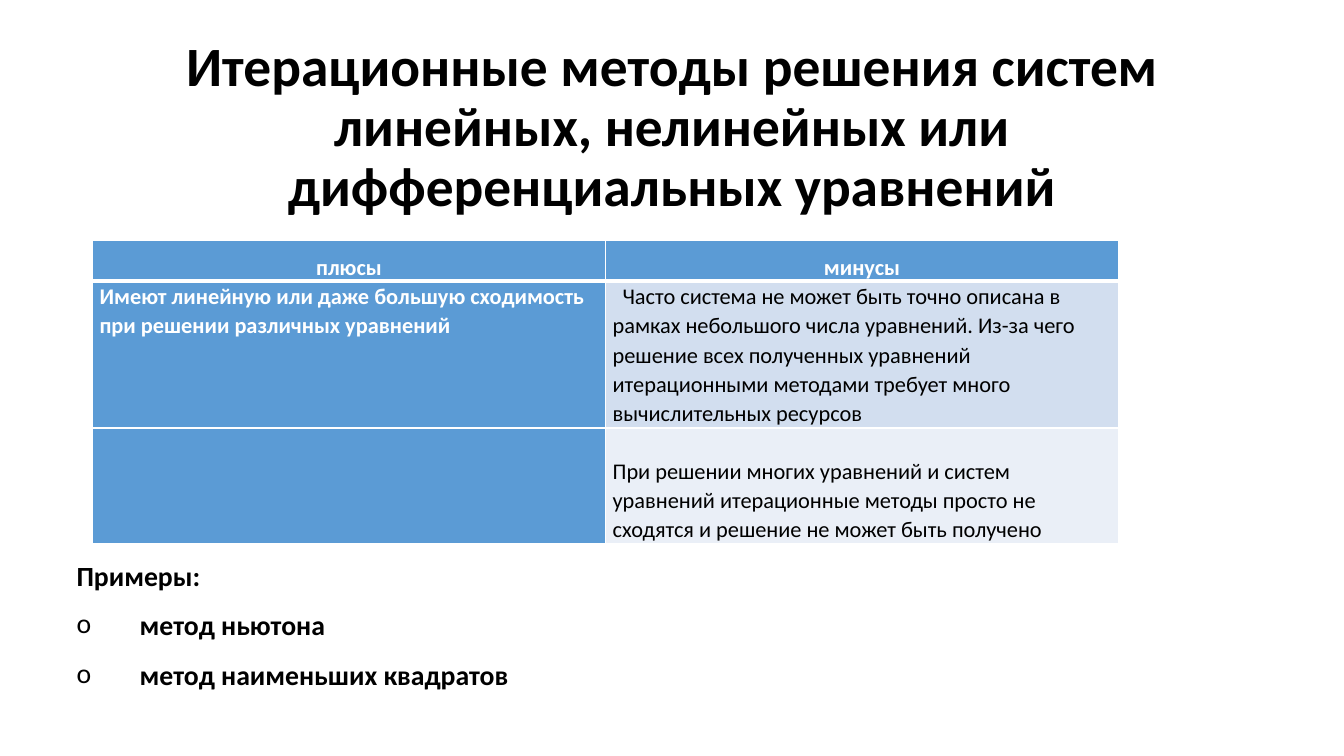
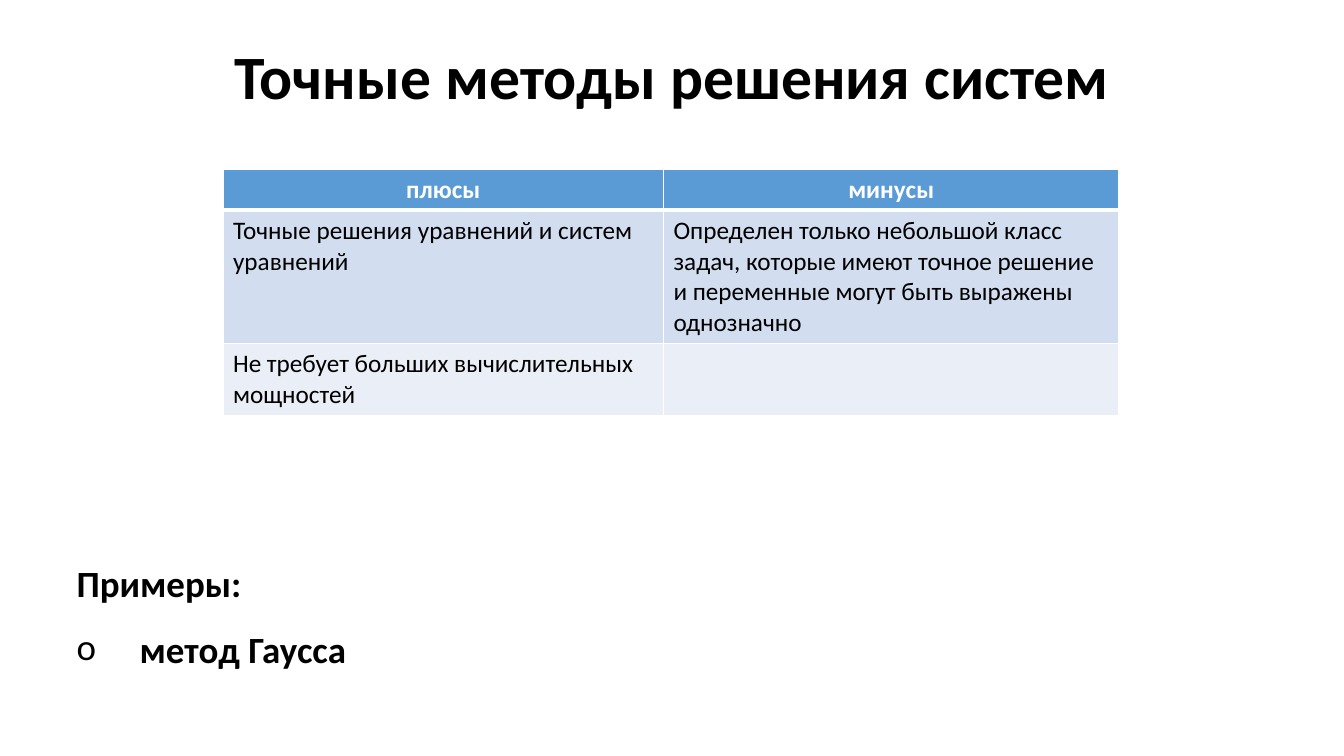
from lxml import etree
from pptx import Presentation
from pptx.dml.color import RGBColor
from pptx.enum.text import MSO_ANCHOR, MSO_AUTO_SIZE, PP_ALIGN
from pptx.oxml.ns import qn
from pptx.util import Cm, Pt

CENTER, LEFT = PP_ALIGN.CENTER, PP_ALIGN.LEFT
TOP, MIDDLE, BOTTOM = MSO_ANCHOR.TOP, MSO_ANCHOR.MIDDLE, MSO_ANCHOR.BOTTOM
NO_AUTOFIT = MSO_AUTO_SIZE.NONE

BLACK = RGBColor(0x00, 0x00, 0x00)
WHITE = RGBColor(0xFF, 0xFF, 0xFF)
BLUE = RGBColor(0x5B, 0x9B, 0xD5)
BANDS = (RGBColor(0xD2, 0xDE, 0xEF), RGBColor(0xEA, 0xEF, 0xF7))

FONT = "Calibri"
TITLE_ONLY = 5
HEADERS = ("плюсы", "минусы")
INSET = Cm(0.13)
BULLET_INDENT = Cm(1.59)


def format_paragraph(paragraph, size, color=BLACK, bold=False, align=LEFT, spacing=1.0):
    paragraph.alignment = align
    paragraph.line_spacing = spacing
    font = paragraph.font
    font.name = FONT
    font.size = Pt(size)
    font.bold = bold
    font.color.rgb = color


def add_title(slide, text, size, height):
    title = slide.shapes.title
    title.left, title.top, title.width, title.height = Cm(2.33), Cm(1.01), Cm(29.21), Cm(height)
    frame = title.text_frame
    frame.text = text
    frame.word_wrap = True
    frame.auto_size = NO_AUTOFIT
    frame.vertical_anchor = MIDDLE
    frame.margin_bottom = INSET + Pt(size * 1.1)
    format_paragraph(frame.paragraphs[0], size, bold=True, align=CENTER, spacing=0.9)


def set_borders(cell, top_width, bottom_width):
    properties = cell._tc.get_or_add_tcPr()
    widths = {"a:lnL": 1, "a:lnR": 1, "a:lnT": top_width, "a:lnB": bottom_width}
    for position, (tag, width) in enumerate(widths.items()):
        line = etree.Element(qn(tag), w=str(Pt(width)))
        fill = etree.SubElement(line, qn("a:solidFill"))
        etree.SubElement(fill, qn("a:srgbClr"), val=str(WHITE))
        properties.insert(position, line)


def add_comparison(slide, left, top, columns, rows, content, size,
                   header_spacing=1.0, body_spacing=1.0, blue_first_column=False):
    shape = slide.shapes.add_table(len(rows), len(columns), Cm(left), Cm(top),
                                   Cm(sum(columns)), Cm(sum(rows)))
    table = shape.table
    table.first_col = blue_first_column
    for column, width in zip(table.columns, columns):
        column.width = Cm(width)
    for row, height in zip(table.rows, rows):
        row.height = Cm(height)
    for row_index, texts in enumerate((HEADERS, *content)):
        is_header = row_index == 0
        for column_index, text in enumerate(texts):
            cell = table.cell(row_index, column_index)
            is_blue = is_header or (blue_first_column and column_index == 0)
            cell.text = text
            cell.fill.solid()
            cell.fill.fore_color.rgb = BLUE if is_blue else BANDS[(row_index - 1) % 2]
            format_paragraph(cell.text_frame.paragraphs[0], size,
                             color=WHITE if is_blue else BLACK, bold=is_blue,
                             align=CENTER if is_header else LEFT,
                             spacing=header_spacing if is_header else body_spacing)
            set_borders(cell, 3 if row_index == 1 else 1, 3 if is_header else 1)
    return table


def tighten_cells(table):
    for cell in table.iter_cells():
        cell.margin_left = cell.margin_right = Cm(0.18)
        cell.margin_top = cell.margin_bottom = 0
        cell.vertical_anchor = TOP


def add_bullet(paragraph):
    properties = paragraph._p.get_or_add_pPr()
    properties.set("marL", str(BULLET_INDENT))
    properties.set("indent", str(-BULLET_INDENT))
    etree.SubElement(properties, qn("a:buFont"), typeface=FONT)
    etree.SubElement(properties, qn("a:buChar"), char="o")


def add_examples(slide, methods, size):
    box = slide.shapes.add_textbox(Cm(1.68), Cm(14.15), Cm(29.21), Cm(4.62))
    frame = box.text_frame
    frame.word_wrap = True
    frame.vertical_anchor = MIDDLE
    frame.margin_bottom = INSET + Pt(size * 1.7)
    heading = frame.paragraphs[0]
    heading.text = "Примеры:"
    format_paragraph(heading, size, bold=True, spacing=0.7)
    for method in methods:
        paragraph = frame.add_paragraph()
        paragraph.text = method
        format_paragraph(paragraph, size, bold=True, spacing=1.5)
        add_bullet(paragraph)


def add_iterative_slide(presentation):
    slide = presentation.slides.add_slide(presentation.slide_layouts[TITLE_ONLY])
    add_title(slide, "Итерационные методы решения систем линейных, нелинейных или "
                     "дифференциальных уравнений", 39.6, 6)
    content = (
        ("Имеют линейную или даже большую сходимость при решении различных уравнений",
         "Часто система не может быть точно описана в рамках небольшого числа уравнений. "
         "Из-за чего решение всех полученных уравнений итерационными методами требует "
         "много вычислительных ресурсов"),
        ("", "При решении многих уравнений и систем уравнений итерационные методы просто "
             "не сходятся и решение не может быть получено"),
    )
    table = add_comparison(slide, 2.33, 6.05, (12.93, 12.93), (1.03, 3.7, 2.92), content, 16,
                           header_spacing=1.5, body_spacing=1.07, blue_first_column=True)
    tighten_cells(table)
    drawback = table.cell(1, 1).text_frame.paragraphs[0]
    drawback._p.get_or_add_pPr().set("indent", str(Cm(0.25)))
    table.cell(2, 1).vertical_anchor = BOTTOM
    add_examples(slide, ("метод ньютона", "метод наименьших квадратов"), 19.8)


def add_exact_slide(presentation):
    slide = presentation.slides.add_slide(presentation.slide_layouts[TITLE_ONLY])
    add_title(slide, "Точные методы решения систем", 44, 3.68)
    content = (
        ("Точные решения уравнений и систем уравнений",
         "Определен только небольшой класс задач, которые имеют точное решение и "
         "переменные могут быть выражены однозначно"),
        ("Не требует больших вычислительных мощностей", ""),
    )
    add_comparison(slide, 5.62, 4.27, (11.1, 11.48), (1.03, 3.35, 1.8), content, 18)
    add_examples(slide, ("метод Гаусса",), 26.4)


def main():
    presentation = Presentation()
    presentation.slide_width = Cm(33.87)
    presentation.slide_height = Cm(19.05)
    add_iterative_slide(presentation)
    add_exact_slide(presentation)
    presentation.save("out.pptx")


main()
